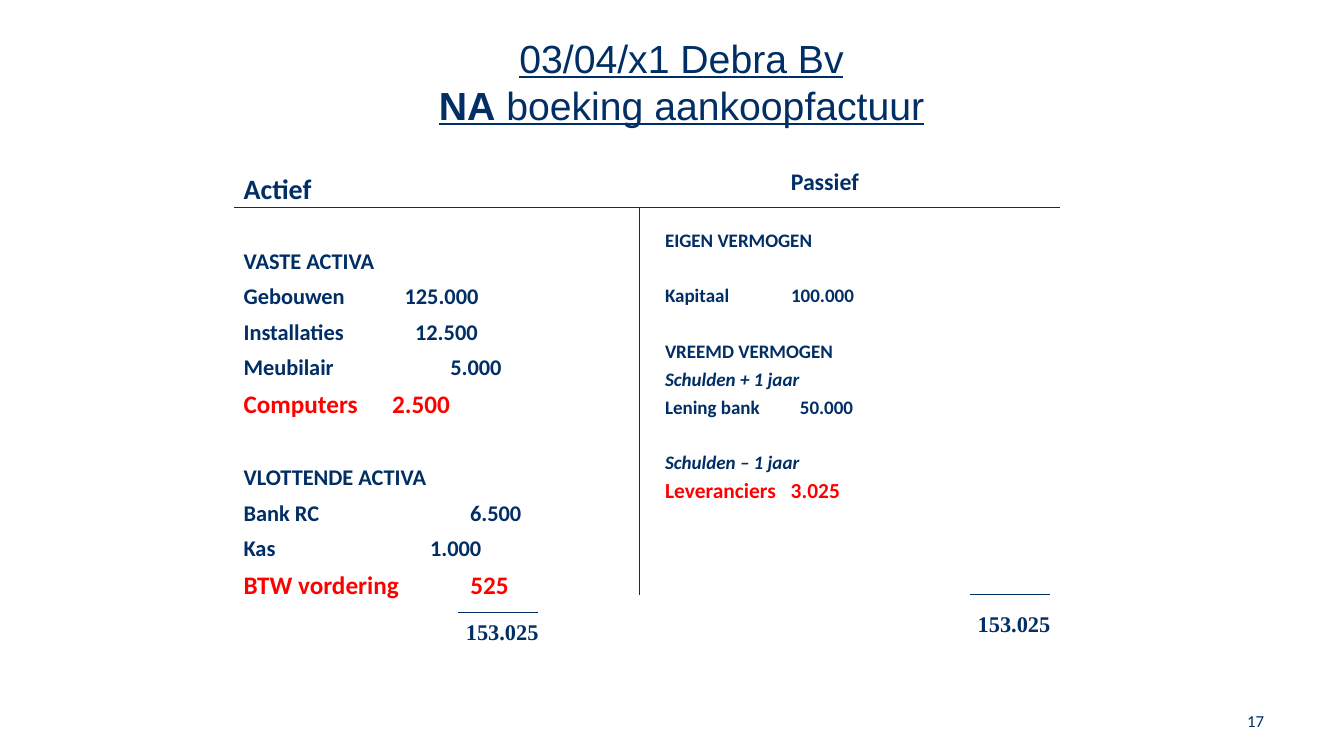
import pptx
import pptx.util
import pptx.dml.color
import pptx.enum.shapes
import pptx.enum.text
import pptx.oxml.ns
import lxml.etree

Cm, Pt = pptx.util.Cm, pptx.util.Pt
ALIGN = pptx.enum.text.PP_ALIGN
MIDDLE = pptx.enum.text.MSO_ANCHOR.MIDDLE
NAVY = pptx.dml.color.RGBColor(0x00, 0x2E, 0x65)
RED = pptx.dml.color.RGBColor(0xFF, 0x00, 0x00)

# Text, size, space before, amount's right edge in cm, colour, italic
ASSETS = [
    ("Actief", 20, 0, None, NAVY, False),
    ("VASTE ACTIVA", 16, 33.3, None, NAVY, False),
    ("Gebouwen\t125.000", 16, 10, 5.92, NAVY, False),
    ("Installaties\t12.500", 16, 10, 5.9, NAVY, False),
    ("Meubilair\t5.000", 16, 10, 6.5, NAVY, False),
    ("Computers\t2.500", 18, 10, 5.2, RED, False),
    ("VLOTTENDE ACTIVA", 16, 36, None, NAVY, False),
    ("Bank RC\t6.500", 16, 10, 7, NAVY, False),
    ("Kas\t1.000", 16, 10, 5.99, NAVY, False),
    ("BTW vordering\t525", 18, 10, 6.68, RED, False),
]
DEBTS = [
    ("\tPassief", 17, 0, 4.89, NAVY, False),
    ("EIGEN VERMOGEN", 13.6, 30, None, NAVY, False),
    ("Kapitaal\t100.000", 13.6, 30, 4.76, NAVY, False),
    ("VREEMD VERMOGEN", 13.6, 30, None, NAVY, False),
    ("Schulden + 1 jaar", 13.6, 10, None, NAVY, True),
    ("Lening bank\t50.000", 13.6, 10, 4.74, NAVY, False),
    ("Schulden – 1 jaar", 13.6, 30, None, NAVY, True),
    ("Leveranciers\t3.025", 15.3, 10, 4.41, RED, False),
]


def add_frame(slide, box):
    frame = slide.shapes.add_textbox(*map(Cm, box)).text_frame
    frame.word_wrap = True
    return frame


def add_run(para, text, color=NAVY, **form):
    run = para.add_run()
    run.text = text
    run.font.color.rgb = color
    for key, value in form.items():
        setattr(run.font, key, value)


def add_rule(slide, x1, y1, x2, y2):
    rule = slide.shapes.add_connector(
        pptx.enum.shapes.MSO_CONNECTOR.STRAIGHT, Cm(x1), Cm(y1), Cm(x2), Cm(y2))
    rule.line.color.rgb = NAVY
    rule.line.width = Pt(0.75)
    lxml.etree.SubElement(rule._element.spPr, pptx.oxml.ns.qn("a:effectLst"))


def add_tab(para, edge):
    qn = pptx.oxml.ns.qn
    tabs = lxml.etree.SubElement(para._p.get_or_add_pPr(), qn("a:tabLst"))
    lxml.etree.SubElement(tabs, qn("a:tab"), pos=str(Cm(edge)), algn="r")


def add_title(slide, box):
    frame = add_frame(slide, box)
    frame.vertical_anchor = MIDDLE
    form = {"name": "Arial", "size": Pt(28), "underline": True}
    top, low = frame.paragraphs[0], frame.add_paragraph()
    top.alignment = low.alignment = ALIGN.CENTER
    # One em space keeps the underline whole between date and firm
    add_run(top, "03/04/x1 Debra Bv", **form)
    add_run(low, "NA", bold=True, **form)
    add_run(low, " boeking aankoopfactuur", **form)


def add_side(slide, box, rows, pitch):
    frame = add_frame(slide, box)
    for i, (text, size, gap, edge, color, slant) in enumerate(rows):
        para = frame.add_paragraph() if i else frame.paragraphs[0]
        if edge:
            add_tab(para, edge)
        para.line_spacing = pitch
        para.space_before = Pt(gap)
        add_run(para, text, color, name="Calibri", size=Pt(size),
                bold=True, italic=slant)


def add_cross(slide, box):
    left, top, width, height = box
    add_rule(slide, left, top, left + width, top)
    stem = left + 10.22
    add_rule(slide, stem, top, stem, top + height)


def add_total(slide, box, lift):
    left, top = box[:2]
    add_rule(slide, left + 1.72, top - lift, left + 3.73, top - lift)
    para = add_frame(slide, box).paragraphs[0]
    para.alignment = ALIGN.RIGHT
    add_run(para, "153.025", name="Times New Roman", size=Pt(16), bold=True)


def add_number(slide, box):
    frame = add_frame(slide, box)
    frame.vertical_anchor = MIDDLE
    para = frame.paragraphs[0]
    para.alignment = ALIGN.RIGHT
    add_run(para, "17", name="Calibri", size=Pt(12))


def main():
    deck = pptx.Presentation()
    deck.slide_width, deck.slide_height = Cm(33.87), Cm(19.05)
    slide = deck.slides.add_slide(deck.slide_layouts[6])
    # Both sides of the balance sheet
    add_side(slide, (5.89, 4.37, 9.68, 12.27), ASSETS, 0.8)
    add_side(slide, (16.51, 4.34, 10.21, 10.03), DEBTS, 0.6)
    add_cross(slide, (5.89, 5.23, 20.83, 9.76))
    # Totals
    add_total(slide, (9.83, 15.44, 3.99, 0.94), 0)
    add_total(slide, (22.73, 15.24, 3.99, 0.94), 0.25)
    # Title and page number
    add_title(slide, (6.38, 1.14, 21.59, 1.8))
    add_number(slide, (24.49, 17.65, 7.62, 1.02))
    deck.save("out.pptx")


if __name__ == "__main__":
    main()
